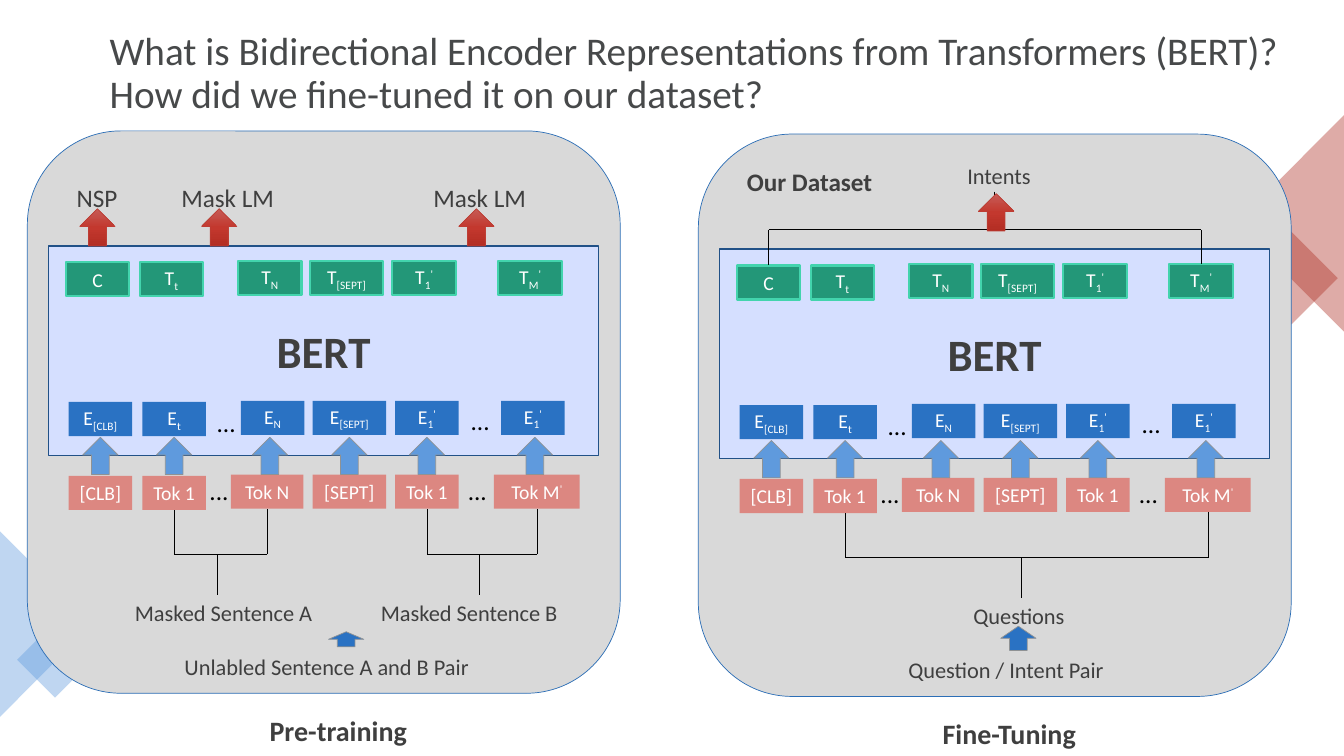
from lxml import etree
from pptx import Presentation
from pptx.dml.color import RGBColor
from pptx.enum.shapes import MSO_CONNECTOR, MSO_SHAPE
from pptx.enum.text import MSO_ANCHOR, MSO_AUTO_SIZE, PP_ALIGN
from pptx.oxml.ns import qn
from pptx.util import Cm, Pt

RECT, ROUNDED, UP_ARROW = MSO_SHAPE.RECTANGLE, MSO_SHAPE.ROUNDED_RECTANGLE, MSO_SHAPE.UP_ARROW
LEFT, CENTER, MIDDLE = PP_ALIGN.LEFT, PP_ALIGN.CENTER, MSO_ANCHOR.MIDDLE
TOP_SIDE, BOTTOM_SIDE = 0, 2
FONT = "Calibri"
COLORS = {
    "title": "47494A", "text": "3F3F3F", "black": "000000", "white": "FFFFFF",
    "panel": "D9D9D9", "panel_line": "2C6EB6", "model": "D5DFFF", "model_line": "215187",
    "embedding": "2A72C3", "output": "239778", "output_line": "43D4AD", "token": "DC8781",
    "step": "5F9ADD", "step_line": "8F9294", "red_line": "BC3E35",
    "decor_blue": "5F9ADD", "decor_red": "AE2F23",
}
RED_GRADIENT = ((0, "C65C57"), (50, "C3382E"), (100, "B32D23"))
PANEL_SIZE = (14.94, 14.17)
ARROW_WIDTH, ARROW_HEIGHT, CELL_HEIGHT = 0.89, 0.94, 0.86

# Columns of the model: left and width in cm from the panel's left edge
COLUMNS = [(1.04, 1.6), (2.9, 1.6), (5.38, 1.6), (7.19, 1.85), (9.27, 1.6), (11.94, 1.6)]
TOKEN_COLUMNS = COLUMNS[:2] + [(5.13, 1.83)] + COLUMNS[3:5] + [(11.76, 2.16)]
OUTPUT_COLUMNS = [(left - 0.07, width) for left, width in COLUMNS]
# Labels: base text, subscript, superscript
OUTPUTS = [("C", "", ""), ("T", "t", ""), ("T", "N", ""), ("T", "[SEPT]", ""),
           ("T", "1", "'"), ("T", "M", "'")]
EMBEDDINGS = [("E", "[CLB]", ""), ("E", "t", ""), ("E", "N", ""), ("E", "[SEPT]", ""),
              ("E", "1", "'"), ("E", "1", "'")]
TOKENS = [("[CLB]", "", ""), ("Tok 1", "", ""), ("Tok N", "", ""), ("[SEPT]", "", ""),
          ("Tok 1", "", ""), ("Tok M", "", "'")]
ELLIPSES = [(4.52, 6.83), (4.34, 8.56), (10.85, 8.56), (10.92, 6.78)]


def rgb(name):
    return RGBColor.from_string(COLORS[name])


def add_span(para, text, size, color, bold=False, baseline=0):
    span = para.add_run()
    span.text = text
    span.font.name, span.font.size, span.font.bold = FONT, Pt(size), bold
    span.font.color.rgb = rgb(color)
    if baseline:
        span.font._element.set("baseline", str(baseline * 1000))


def add_box(page, kind, left, top, width, height, fill, line=None, weight=0.5):
    box = page.shapes.add_shape(kind, Cm(left), Cm(top), Cm(width), Cm(height))
    box.shadow.inherit = False
    box.fill.solid()
    box.fill.fore_color.rgb = rgb(fill)
    if line:
        box.line.color.rgb = rgb(line)
        box.line.width = Pt(weight)
    else:
        box.line.fill.background()
    return box


def centred_para(box):
    frame = box.text_frame
    frame.word_wrap = True
    frame.vertical_anchor = MIDDLE
    para = frame.paragraphs[0]
    para.alignment = CENTER
    return para


def add_label(page, text, left, top, width, size=16, color="text", bold=False,
              align=LEFT, height=0.94):
    box = page.shapes.add_textbox(Cm(left), Cm(top), Cm(width), Cm(height))
    box.text_frame.word_wrap = True
    para = box.text_frame.paragraphs[0]
    para.alignment = align
    add_span(para, text, size, color, bold)


def add_line(page, x1, y1, x2, y2):
    line = page.shapes.add_connector(MSO_CONNECTOR.STRAIGHT, Cm(x1), Cm(y1), Cm(x2), Cm(y2))
    line.line.color.rgb = rgb("black")
    line.line.width = Pt(0.5)
    etree.SubElement(line._element.spPr, qn("a:effectLst"))
    return line


def add_red_arrow(page, left, top):
    arrow = add_box(page, UP_ARROW, left, top, ARROW_WIDTH, ARROW_HEIGHT, "token", "red_line")
    arrow.fill.gradient()
    arrow.fill.gradient_angle = 270
    stops = arrow._element.spPr.find(".//" + qn("a:gsLst"))
    for stop in list(stops):
        stops.remove(stop)
    for percent, color in RED_GRADIENT:
        stop = etree.SubElement(stops, qn("a:gs"), pos=str(percent * 1000))
        etree.SubElement(stop, qn("a:srgbClr"), val=color)


def add_cells(page, left, top, columns, labels, fill, line=None):
    """Draw one row of labelled cells; the first two sit slightly lower."""
    cells = []
    for index, ((offset, width), (base, sub, sup)) in enumerate(zip(columns, labels)):
        drop = 0.03 if index < 2 else 0
        cell = add_box(page, RECT, left + offset, top + drop, width, CELL_HEIGHT, fill, line, 1.5)
        para = centred_para(cell)
        for text, baseline in ((base, 0), (sub, -25), (sup, 30)):
            if text:
                add_span(para, text, 14, "white", baseline=baseline)
        cells.append(cell)
    return cells


def middle(cell):
    return (cell.left + cell.width / 2) / Cm(1)


def join_cells(page, first, last, side, bar):
    """Link two cells by a bar at height bar, from their top or bottom sides."""
    for cell in (first, last):
        leg = add_line(page, middle(cell), bar, middle(cell), bar)
        leg.end_connect(cell, side)
    add_line(page, middle(first), bar, middle(last), bar)


def join_tokens(page, first, last, left, top, stem):
    bar = top + 10.67
    join_cells(page, first, last, BOTTOM_SIDE, bar)
    add_line(page, left + stem, bar, left + stem, top + 11.7)


def draw_model(page, left, top, caption):
    """Draw the panel shared by both stages; return its output and token cells."""
    add_box(page, ROUNDED, left, top, *PANEL_SIZE, "panel", "panel_line")
    model = add_box(page, RECT, left + 0.53, top + 2.9, 13.87, 5.28, "model", "model_line", 1)
    add_span(centred_para(model), "BERT", 32, "text", bold=True)
    add_cells(page, left, top + 6.8, COLUMNS, EMBEDDINGS, "embedding")
    outputs = add_cells(page, left, top + 3.28, OUTPUT_COLUMNS, OUTPUTS, "output", "output_line")
    tokens = add_cells(page, left, top + 8.66, TOKEN_COLUMNS, TOKENS, "token")
    for (upper, upper_width), (lower, lower_width) in zip(COLUMNS, TOKEN_COLUMNS):
        center = (upper + lower + (upper_width + lower_width) / 2) / 2
        add_box(page, UP_ARROW, left + center - ARROW_WIDTH / 2, top + 7.72,
                ARROW_WIDTH, ARROW_HEIGHT, "step", "step_line")
    for x, y in ELLIPSES:
        add_label(page, "...", left + x, top + y, 1.02, 18, "black", height=1.02)
    add_label(page, caption, left + 3.81, top + 14.55, 8.05, 20, bold=True,
              align=CENTER, height=1.12)
    return outputs, tokens


def draw_pretraining(page, left, top):
    _, tokens = draw_model(page, left, top, "Pre-training")
    for arrow, text, offset, width in ((1.32, "NSP", 0.99, 1.6), (4.39, "Mask LM", 3.63, 2.9),
                                       (10.87, "Mask LM", 9.98, 2.9)):
        add_red_arrow(page, left + arrow, top + 1.96)
        add_label(page, text, left + offset, top + 1.17, width, 18, height=1.02)
    join_tokens(page, tokens[1], tokens[2], left, top, 4.78)
    join_tokens(page, tokens[4], tokens[5], left, top, 11.4)
    add_label(page, "Masked Sentence A", left + 2.46, top + 11.68, 5.87)
    add_label(page, "Masked Sentence B", left + 8.66, top + 11.68, 5.87)
    add_box(page, UP_ARROW, left + 7.59, top + 12.62, ARROW_WIDTH, 0.38, "embedding", "step_line")
    add_label(page, "Unlabled Sentence A and B Pair", left + 3.71, top + 13.03, 8.05)


def draw_finetuning(page, left, top):
    outputs, tokens = draw_model(page, left, top, "Fine-Tuning")
    join_tokens(page, tokens[1], tokens[5], left, top, 8.13)
    add_line(page, left + 7.47, top + 1.45, left + 7.47, top + 2.44)
    join_cells(page, outputs[0], outputs[5], TOP_SIDE, top + 2.41)
    add_red_arrow(page, left + 7.06, top + 1.5)
    add_label(page, "Our Dataset", left + 0.97, top + 0.69, 3.78, 18, bold=True, height=1.02)
    add_label(page, "Intents", left + 6.32, top + 0.58, 2.51, align=CENTER)
    add_label(page, "Questions", left + 6.58, top + 11.68, 3, align=CENTER)
    add_box(page, UP_ARROW, left + 7.62, top + 12.4, ARROW_WIDTH, 0.61, "embedding", "step_line")
    add_label(page, "Question / Intent Pair", left + 3.73, top + 13.03, 8.05, align=CENTER)


def draw_decor(page):
    for left, top, width, height, color in (
            (-3.38, 13.36, 4.75, 4.7, "decor_blue"), (0.71, 15.95, 1.35, 1.35, "decor_blue"),
            (32.11, 3.3, 4.75, 4.7, "decor_red"), (31.57, 6.12, 1.83, 1.65, "decor_red")):
        square = add_box(page, RECT, left, top, width, height, color)
        square.rotation = 45
        tint = square._element.spPr.find(qn("a:solidFill"))[0]
        etree.SubElement(tint, qn("a:alpha"), val="40000")


def draw_title(page, left, top, width, height):
    title = page.shapes.title
    title.left, title.top, title.width, title.height = Cm(left), Cm(top), Cm(width), Cm(height)
    frame = title.text_frame
    frame.auto_size = MSO_AUTO_SIZE.NONE
    frame.vertical_anchor = MIDDLE
    para = frame.paragraphs[0]
    para.alignment, para.line_spacing = LEFT, 0.9
    add_span(para, "What is Bidirectional Encoder Representations from Transformers (BERT)?",
             28, "title")
    para.add_line_break()
    add_span(para, "How did we fine-tuned it on our dataset?", 28, "title")


def main():
    deck = Presentation()
    deck.slide_width, deck.slide_height = Cm(33.87), Cm(19.05)
    page = deck.slides.add_slide(deck.slide_layouts[5])
    draw_decor(page)
    draw_title(page, 2.51, 0.03, 30.02, 3.68)
    draw_pretraining(page, 0.69, 3.3)
    draw_finetuning(page, 17.6, 3.38)
    deck.save("out.pptx")


if __name__ == "__main__":
    main()
